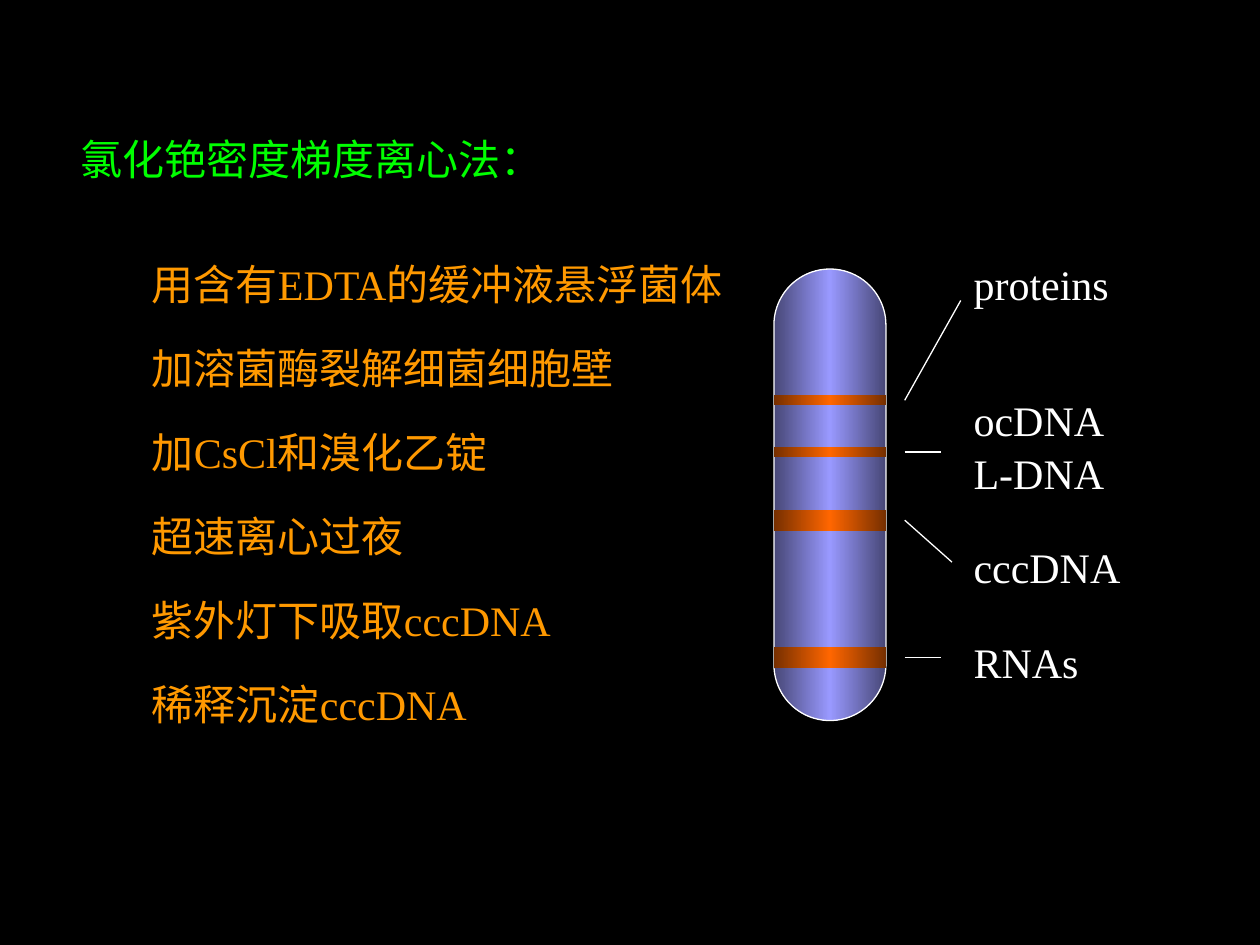
from copy import deepcopy

from lxml import etree
from pptx import Presentation
from pptx.dml.color import RGBColor
from pptx.enum.shapes import MSO_CONNECTOR, MSO_SHAPE
from pptx.enum.text import MSO_ANCHOR, MSO_AUTO_SIZE, PP_ALIGN
from pptx.oxml.ns import qn
from pptx.util import Pt

LEFT, TOP, NONE = PP_ALIGN.LEFT, MSO_ANCHOR.TOP, MSO_AUTO_SIZE.NONE
RECT, ROUND = MSO_SHAPE.RECTANGLE, MSO_SHAPE.ROUNDED_RECTANGLE
STRAIGHT = MSO_CONNECTOR.STRAIGHT

BLACK = RGBColor(0x00, 0x00, 0x00)
WHITE = RGBColor(0xFF, 0xFF, 0xFF)
GREEN = RGBColor(0x00, 0xFF, 0x00)
AMBER = RGBColor(0xFF, 0x99, 0x00)
TUBE = RGBColor(0x99, 0x99, 0xFF)
TUBE_EDGE = RGBColor(0x47, 0x47, 0x76)
BAND = RGBColor(0xFF, 0x66, 0x00)
BAND_EDGE = RGBColor(0x76, 0x2F, 0x00)

SERIF = "Times New Roman"
ROW = 60  # height of a one-line text box
FRAME = {"word_wrap": True, "auto_size": NONE, "vertical_anchor": TOP}
PARA = {"alignment": LEFT, "line_spacing": 1.5, "space_before": Pt(0)}

# wording, box width
STEPS = [
    ("用含有EDTA的缓冲液悬浮菌体", 355),
    ("加溶菌酶裂解细菌细胞壁", 338),
    ("加CsCl和溴化乙锭", 269),
    ("超速离心过夜", 171),
    ("紫外灯下吸取cccDNA", 315),
    ("稀释沉淀cccDNA", 253),
]
# offset below the tube's top, height
BANDS = [(72, 6), (101.5, 6), (137.5, 12), (216, 12)]
# x and y of the far end of each band's line, from its near end
LEADS = [(32, -57), (21, 0), (27, 24), (21, 0)]
# wording, offset below the top label, box width
LABELS = [
    ("proteins", 0, 126),
    ("ocDNA", 78, 118),
    ("L-DNA", 108, 118),
    ("cccDNA", 162, 140),
    ("RNAs", 216, 104),
]


def assign(item, values):
    for name, value in values.items():
        setattr(item, name, value)


def write(shape, text, face, color):
    frame = shape.text_frame
    assign(frame, FRAME)
    frame.text = text
    para = frame.paragraphs[0]
    assign(para, PARA)
    assign(para.font, {"size": Pt(24), "name": face})
    para.font.color.rgb = color


def add_text(slide, box, text, color):
    shape = slide.shapes.add_textbox(*map(Pt, box))
    write(shape, text, SERIF, color)


def add_bar(slide, kind, box, edge, core):
    """Add a shape shaded across from edge to core and back."""
    shape = slide.shapes.add_shape(kind, *map(Pt, box))
    shape.shadow.inherit = False
    shape.line.fill.background()
    fill = shape.fill
    fill.gradient()
    fill.gradient_angle = 0
    stops = shape.element.spPr.find(".//" + qn("a:gsLst"))
    stops.append(deepcopy(stops[-1]))
    for stop, color, place in zip(fill.gradient_stops, (edge, core, edge), (0, 0.5, 1)):
        stop.color.rgb = color
        stop.position = place
    return shape


def add_title(slide, box):
    title = slide.shapes.title
    assign(title, dict(zip(("left", "top", "width", "height"), map(Pt, box))))
    write(title, "氯化铯密度梯度离心法：", "Arial", GREEN)


def add_steps(slide, box):
    left, top, height = box
    pitch = height / len(STEPS)
    for i, (text, width) in enumerate(STEPS):
        add_text(slide, (left, top + i * pitch, width, ROW), text, AMBER)


def add_tube(slide, box):
    left, top, width, height = box
    tube = add_bar(slide, ROUND, box, TUBE_EDGE, TUBE)
    tube.adjustments[0] = 0.5
    tube.line.color.rgb = WHITE
    tube.line.width = Pt(0.75)
    for drop, depth in BANDS:
        add_bar(slide, RECT, (left, top + drop, width, depth), BAND_EDGE, BAND)


def add_leads(slide, left, top):
    """Draw a line from the level of each band towards its label."""
    for (drop, depth), (dx, dy) in zip(BANDS, LEADS):
        y = top + drop + depth / 2
        lead = slide.shapes.add_connector(
            STRAIGHT, Pt(left), Pt(y), Pt(left + dx), Pt(y + dy))
        lead.line.color.rgb = WHITE
        lead.line.width = Pt(0.75)
        etree.SubElement(lead.element.spPr, qn("a:effectLst"))


def add_labels(slide, left, top):
    for text, drop, width in LABELS:
        add_text(slide, (left, top + drop, width, ROW), text, WHITE)


def main():
    deck = Presentation()
    deck.slide_width, deck.slide_height = Pt(720), Pt(540)
    slide = deck.slides.add_slide(deck.slide_layouts[5])
    back = slide.background.fill
    back.solid()
    back.fore_color.rgb = BLACK
    add_title(slide, (39, 58, 376, ROW))
    add_steps(slide, (79.75, 129.75, 288))
    add_tube(slide, (442.25, 153.75, 64, 258))
    add_leads(slide, 517, 153.75)
    add_labels(slide, 549.25, 129.75)
    deck.save("out.pptx")


if __name__ == "__main__":
    main()
